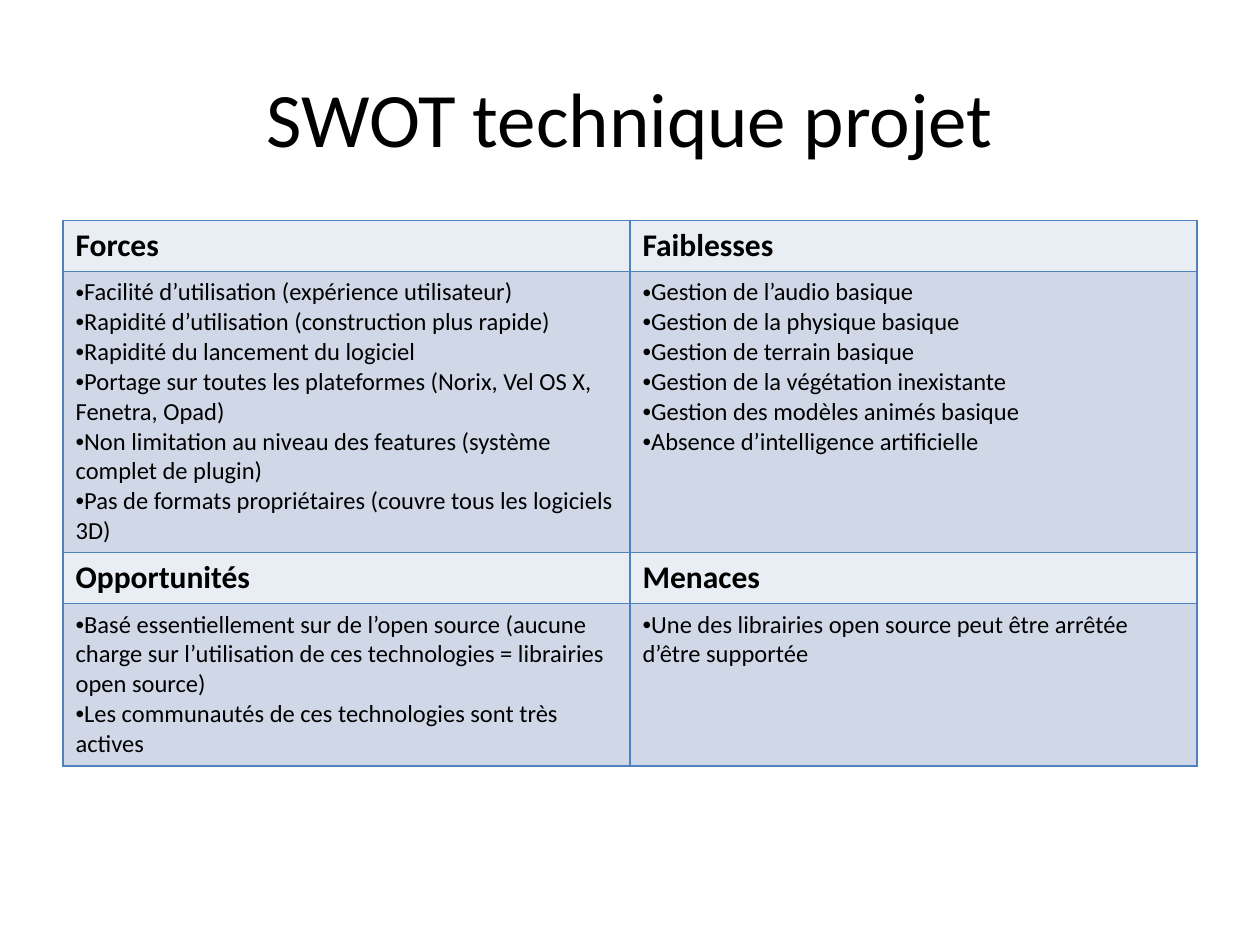
from lxml import etree
from pptx import Presentation
from pptx.dml.color import RGBColor
from pptx.enum.text import MSO_ANCHOR, PP_ALIGN
from pptx.oxml.ns import qn
from pptx.util import Cm, Pt

CENTER = PP_ALIGN.CENTER
MIDDLE = MSO_ANCHOR.MIDDLE
TITLE_ONLY = 5

FONT = "Calibri"
BULLET_FONT = "Arial"
COLOURS = {"text": "000000", "heading": "E9EDF4", "body": "D0D8E8", "border": "4F81BD"}

# Content: each band of the matrix holds (heading, points) pairs
TITLE = "SWOT technique projet"
SWOT = [
    [
        ("Forces", [
            "Facilité d’utilisation (expérience utilisateur)",
            "Rapidité d’utilisation (construction plus rapide)",
            "Rapidité du lancement du logiciel",
            "Portage sur toutes les plateformes (Norix, Vel OS X, Fenetra, Opad)",
            "Non limitation au niveau des features (système complet de plugin)",
            "Pas de formats propriétaires (couvre tous les logiciels 3D)",
        ]),
        ("Faiblesses", [
            "Gestion de l’audio basique",
            "Gestion de la physique basique",
            "Gestion de terrain basique",
            "Gestion de la végétation inexistante",
            "Gestion des modèles animés basique",
            "Absence d’intelligence artificielle",
        ]),
    ],
    [
        ("Opportunités", [
            "Basé essentiellement sur de l’open source (aucune charge sur "
            "l’utilisation de ces technologies = librairies open source)",
            "Les communautés de ces technologies sont très actives",
        ]),
        ("Menaces", [
            "Une des librairies open source peut être arrêtée d’être supportée",
        ]),
    ],
]

# Layout
LEFT, WIDTH = Cm(1.27), Cm(22.86)
TABLE_TOP = Cm(4.44)
HEADING_HEIGHT = Cm(1.03)
BODY_HEIGHTS = [Cm(5.66), Cm(3.28)]


def colour(name):
    return RGBColor.from_string(COLOURS[name])


def format_paragraph(paragraph, size, bold=False):
    font = paragraph.font
    font.name, font.size, font.bold = FONT, Pt(size), bold
    font.color.rgb = colour("text")


def add_bullet(paragraph):
    properties = paragraph._p.get_or_add_pPr()
    etree.SubElement(properties, qn("a:buFont"), typeface=BULLET_FONT)
    etree.SubElement(properties, qn("a:buChar"), char="•")


def add_borders(cell):
    properties = cell._tc.get_or_add_tcPr()
    for side in ("lnL", "lnR", "lnT", "lnB"):
        line = etree.SubElement(properties, qn(f"a:{side}"), w=str(Pt(1)))
        fill = etree.SubElement(line, qn("a:solidFill"))
        etree.SubElement(fill, qn("a:srgbClr"), val=COLOURS["border"])


def fill_cell(cell, texts, fill, size, bold=False, bullets=False):
    add_borders(cell)
    cell.fill.solid()
    cell.fill.fore_color.rgb = colour(fill)
    cell.text = "\n".join(texts)
    for paragraph in cell.text_frame.paragraphs:
        if bullets:
            add_bullet(paragraph)
        format_paragraph(paragraph, size, bold)


def add_title(slide):
    title = slide.shapes.title
    title.left, title.top, title.width, title.height = LEFT, Cm(0.76), WIDTH, Cm(3.18)
    title.text_frame.text = TITLE
    title.text_frame.vertical_anchor = MIDDLE
    paragraph = title.text_frame.paragraphs[0]
    paragraph.alignment = CENTER
    format_paragraph(paragraph, 44)


def add_matrix(slide):
    height = len(SWOT) * HEADING_HEIGHT + sum(BODY_HEIGHTS)
    table = slide.shapes.add_table(
        2 * len(SWOT), len(SWOT[0]), LEFT, TABLE_TOP, WIDTH, height).table
    table.first_row = table.horz_banding = False
    for band, (quadrants, body_height) in enumerate(zip(SWOT, BODY_HEIGHTS)):
        row = 2 * band
        table.rows[row].height = HEADING_HEIGHT
        table.rows[row + 1].height = body_height
        for column, (heading, points) in enumerate(quadrants):
            fill_cell(table.cell(row, column), [heading], "heading", 18, bold=True)
            fill_cell(table.cell(row + 1, column), points, "body", 14, bullets=True)


def main():
    presentation = Presentation()
    presentation.slide_width, presentation.slide_height = Cm(25.4), Cm(19.05)
    slide = presentation.slides.add_slide(presentation.slide_layouts[TITLE_ONLY])
    add_title(slide)
    add_matrix(slide)
    presentation.save("out.pptx")


if __name__ == "__main__":
    main()
